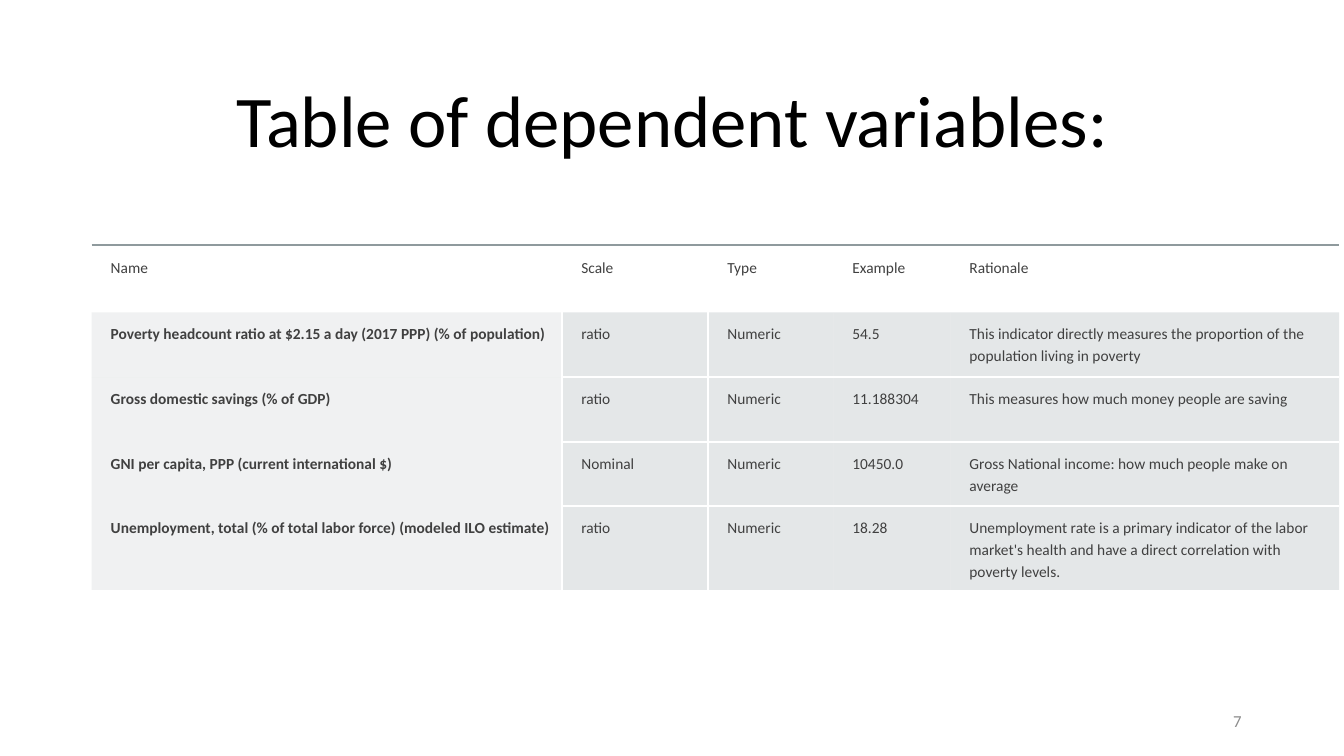
from lxml import etree
from pptx import Presentation
from pptx.dml.color import RGBColor
from pptx.enum import text as t
from pptx.oxml import ns
from pptx.util import Cm, Pt

BLACK = RGBColor(0x00, 0x00, 0x00)
DARK = RGBColor(0x40, 0x40, 0x40)
GREY = RGBColor(0x8C, 0x8C, 0x8C)
RULE = RGBColor(0x8F, 0x9A, 0x9D)
TINT = RGBColor(0xB4, 0xBC, 0xBE)
WHITE = RGBColor(0xFF, 0xFF, 0xFF)
PLAIN = "{2D5ABB26-0587-4C30-8999-92F81FD0307C}"  # no style, no grid

WIDTHS = [11.86, 3.68, 3.15, 2.95, 9.8]
ROWS = [
    ["Name", "Scale", "Type", "Example", "Rationale"],
    ["Poverty headcount ratio at $2.15 a day (2017 PPP) (% of population)",
     "ratio", "Numeric", "54.5",
     "This indicator directly measures the proportion of the population "
     "living in poverty"],
    ["Gross domestic savings (% of GDP)", "ratio", "Numeric", "11.188304",
     "This measures how much money people are saving"],
    ["GNI per capita, PPP (current international $)", "Nominal", "Numeric",
     "10450.0", "Gross National income: how much people make on average"],
    ["Unemployment, total (% of total labor force) (modeled ILO estimate)",
     "ratio", "Numeric", "18.28",
     "Unemployment rate is a primary indicator of the labor market's health "
     "and have a direct correlation with poverty levels."],
]


def write(par, words, size, color, bold=False):
    par.text = words
    font = par.runs[0].font
    font.name, font.size, font.bold = "Calibri", Pt(size), bold
    font.color.rgb = color


def add_text(slide, box, words, size, color, align):
    frame = slide.shapes.add_textbox(*map(Cm, box)).text_frame
    frame.word_wrap = True
    frame.vertical_anchor = t.MSO_ANCHOR.MIDDLE
    par = frame.paragraphs[0]
    par.alignment = align
    write(par, words, size, color)
    return par


def add_edge(cell, side, color):
    """Draw one cell border; call in the order L, R, T, B and before the fill."""
    props = cell._tc.get_or_add_tcPr()
    line = etree.SubElement(props, ns.qn(f"a:ln{side}"), w=str(Pt(1.5)))
    fill = etree.SubElement(line, ns.qn("a:solidFill"))
    etree.SubElement(fill, ns.qn("a:srgbClr"), val=str(color))


def tint(cell, alpha):
    """Fill a cell with the tint at the given opacity in percent."""
    cell.fill.solid()
    cell.fill.fore_color.rgb = TINT
    color = cell._tc.tcPr.find(".//" + ns.qn("a:solidFill") + "[last()]")
    color = cell._tc.tcPr.find(ns.qn("a:solidFill"))[0]
    etree.SubElement(color, ns.qn("a:alpha"), val=str(alpha * 1000))


def style(cell, row, col):
    head, name = row == 0, col == 0
    cell.margin_left = Cm(0.48)
    pad = Cm(0.28 if head else 0.25)
    cell.margin_top = cell.margin_right = cell.margin_bottom = pad
    if head:
        add_edge(cell, "T", RULE)
        cell.fill.background()
    elif name:
        add_edge(cell, "R", WHITE)
        tint(cell, 20)
    else:
        if col == 1:
            add_edge(cell, "L", WHITE)
        if row > 1:
            add_edge(cell, "T", WHITE)
        if row < len(ROWS) - 1:
            add_edge(cell, "B", WHITE)
        tint(cell, 35)


def add_table(slide):
    frame = slide.shapes.add_table(len(ROWS), len(WIDTHS), Cm(2.31), Cm(6.17),
                                   Cm(sum(WIDTHS)), Cm(8.22))
    table = frame.table
    table.first_row = table.horz_banding = False
    table._tbl.tblPr.find(ns.qn("a:tableStyleId")).text = PLAIN
    for col, width in zip(table.columns, WIDTHS):
        col.width = Cm(width)
    for r, words in enumerate(ROWS):
        table.rows[r].height = Cm(1.63 if r else 1.7)
        for c, word in enumerate(words):
            cell = table.cell(r, c)
            style(cell, r, c)
            par = cell.text_frame.paragraphs[0]
            par.line_spacing = 1.15
            write(par, word, 11, DARK, bold=r > 0 and c == 0)


def main():
    deck = Presentation()
    deck.slide_width, deck.slide_height = Cm(33.87), Cm(19.05)
    slide = deck.slides.add_slide(deck.slide_layouts[6])
    title = add_text(slide, (2.33, 1.55, 29.21, 3.15),
                     "Table of dependent variables:", 52, BLACK,
                     t.PP_ALIGN.CENTER)
    title.line_spacing = 0.9
    title.space_after = Pt(6)
    add_table(slide)
    add_text(slide, (23.92, 17.66, 7.62, 1.01), "7", 12, GREY,
             t.PP_ALIGN.RIGHT)
    deck.save("out.pptx")


if __name__ == "__main__":
    main()
